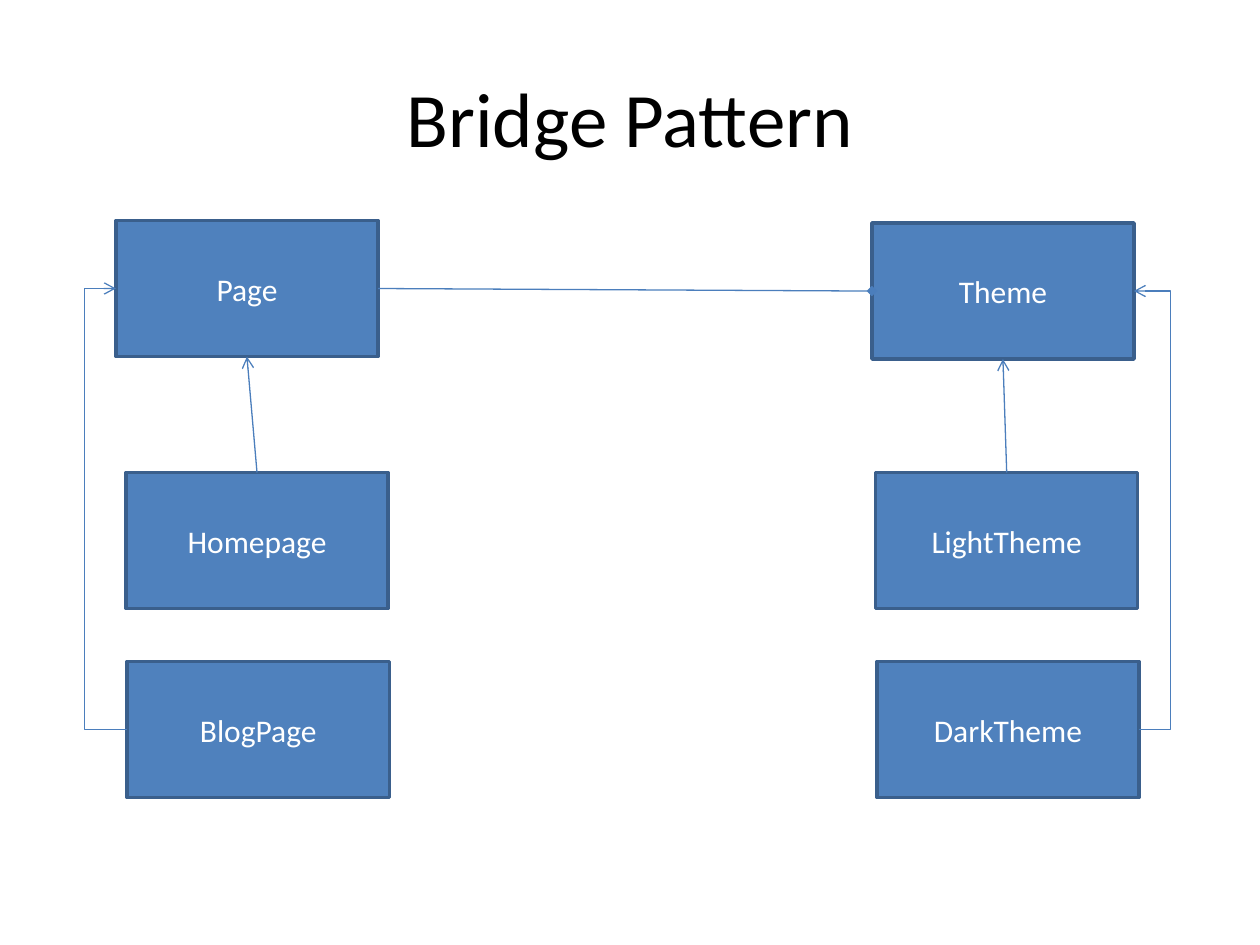
"""Build the Bridge Pattern class diagram slide."""
from dataclasses import dataclass
from enum import IntEnum
from typing import Optional

from lxml.etree import SubElement
from pptx import Presentation
from pptx.dml.color import RGBColor
from pptx.enum.shapes import MSO_CONNECTOR, MSO_SHAPE
from pptx.enum.text import MSO_ANCHOR, PP_ALIGN
from pptx.oxml.ns import qn
from pptx.util import Inches, Pt

COLORS = {"box": "4F81BD", "border": "3A5F8C", "link": "4B7EBC",
          "title": "000000", "label": "FFFFFF"}
FONT = "Calibri"
BOX_WIDTH, BOX_HEIGHT = Inches(2.08), Inches(1.08)


class Side(IntEnum):
    TOP = 0
    LEFT = 1
    BOTTOM = 2
    RIGHT = 3


@dataclass(frozen=True)
class ClassBox:
    name: str
    left: float
    top: float


@dataclass(frozen=True)
class Link:
    source: str
    source_side: Side
    target: str
    target_side: Side
    head: str = "arrow"
    lane: Optional[float] = None


CLASSES = [
    ClassBox("Page", 0.92, 1.75),
    ClassBox("Theme", 6.92, 1.77),
    ClassBox("Homepage", 1, 3.75),
    ClassBox("LightTheme", 6.95, 3.75),
    ClassBox("BlogPage", 1.01, 5.25),
    ClassBox("DarkTheme", 6.96, 5.25),
]
LINKS = [
    Link("Homepage", Side.TOP, "Page", Side.BOTTOM),
    Link("LightTheme", Side.TOP, "Theme", Side.BOTTOM),
    Link("Page", Side.RIGHT, "Theme", Side.LEFT, head="diamond"),
    Link("BlogPage", Side.LEFT, "Page", Side.LEFT, lane=0.67),
    Link("DarkTheme", Side.RIGHT, "Theme", Side.RIGHT, lane=9.29),
]


def color(key: str) -> RGBColor:
    return RGBColor.from_string(COLORS[key])


def write_text(shape, text: str, size: int, color_key: str) -> None:
    frame = shape.text_frame
    frame.text = text
    frame.word_wrap = True
    frame.vertical_anchor = MSO_ANCHOR.MIDDLE
    paragraph = frame.paragraphs[0]
    paragraph.alignment = PP_ALIGN.CENTER
    font = paragraph.runs[0].font
    font.name, font.size = FONT, Pt(size)
    font.color.rgb = color(color_key)


def add_class(slide, box: ClassBox):
    shape = slide.shapes.add_shape(MSO_SHAPE.RECTANGLE, Inches(box.left), Inches(box.top),
                                   BOX_WIDTH, BOX_HEIGHT)
    shape.shadow.inherit = False
    shape.fill.solid()
    shape.fill.fore_color.rgb = color("box")
    shape.line.color.rgb = color("border")
    shape.line.width = Pt(2)
    write_text(shape, box.name, 18, "label")
    return shape


def add_link(slide, link: Link, boxes: dict) -> None:
    kind = MSO_CONNECTOR.STRAIGHT if link.lane is None else MSO_CONNECTOR.ELBOW
    connector = slide.shapes.add_connector(kind, 0, 0, 0, 0)
    connector.begin_connect(boxes[link.source], link.source_side)
    connector.end_connect(boxes[link.target], link.target_side)
    connector.line.color.rgb = color("link")
    connector.line.width = Pt(0.75)
    properties = connector._element.spPr
    SubElement(properties.find(qn("a:ln")), qn("a:tailEnd"), type=link.head)
    SubElement(properties, qn("a:effectLst"))
    if link.lane is not None:
        start, end = connector.begin_x, connector.end_x
        bend = round((Inches(link.lane) - start) / (end - start) * 100000)
        guides = properties.find(qn("a:prstGeom")).find(qn("a:avLst"))
        SubElement(guides, qn("a:gd"), name="adj1", fmla=f"val {bend}")


def build() -> None:
    presentation = Presentation()
    presentation.slide_width, presentation.slide_height = Inches(10), Inches(7.5)
    slide = presentation.slides.add_slide(presentation.slide_layouts[5])
    title = slide.shapes.title
    title.left, title.top = Inches(0.5), Inches(0.3)
    title.width, title.height = Inches(9), Inches(1.25)
    write_text(title, "Bridge Pattern", 44, "title")
    boxes = {box.name: add_class(slide, box) for box in CLASSES}
    for link in LINKS:
        add_link(slide, link, boxes)
    presentation.save("out.pptx")


build()
